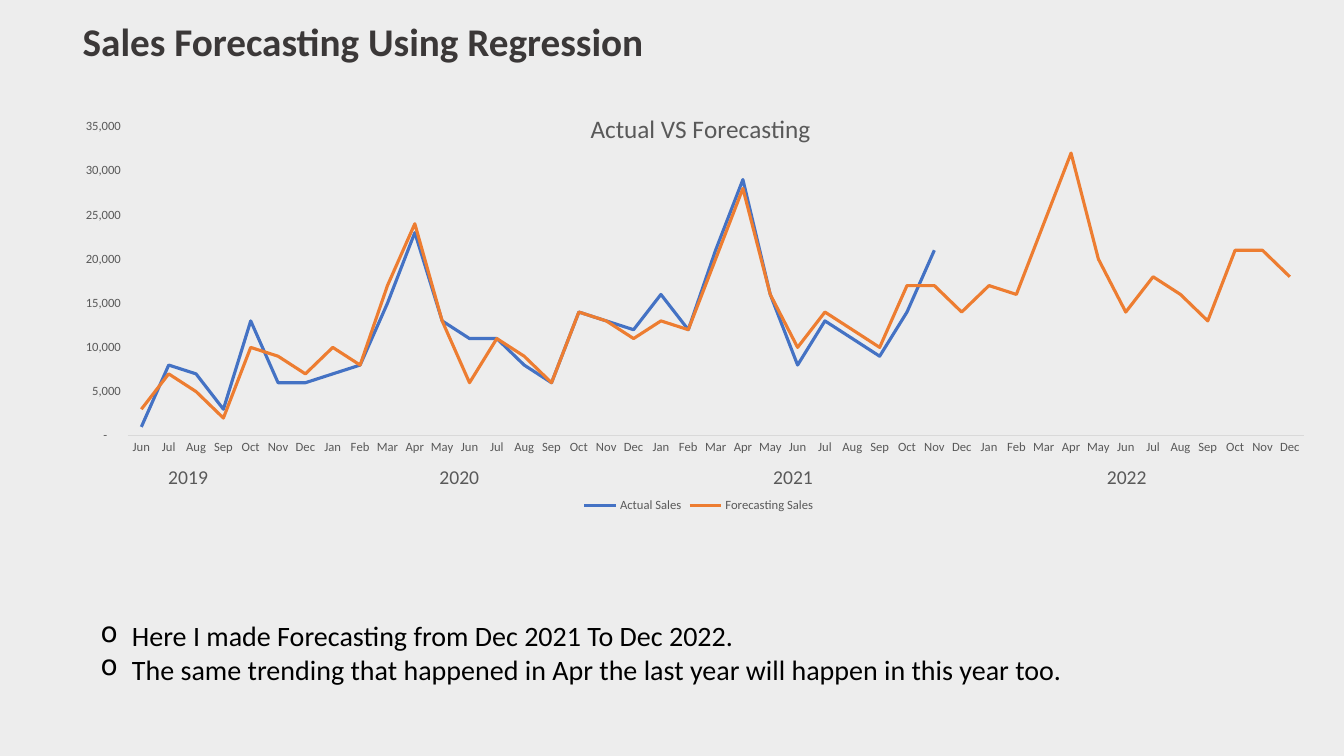
from dataclasses import dataclass
from lxml import etree
from pptx import Presentation, util as u
from pptx.chart import data
from pptx.dml import color
from pptx.enum import chart as ch, text as tx
from pptx.oxml import ns


@dataclass(frozen=True)
class Theme:
    font: str = "Calibri"
    back: str = "EDEDED"
    head: str = "3B3838"
    ink: str = "000000"
    gray: str = "595959"
    rule: str = "D9D9D9"
    blue: str = "4472C4"
    orange: str = "ED7D31"
    big: int = 28
    body: int = 20
    title: int = 18
    year: int = 14
    small: int = 9


LOOK = Theme()
MONTHS = "Jan Feb Mar Apr May Jun Jul Aug Sep Oct Nov Dec".split()
START, COUNT = 5, 43
ACTUAL = [1, 8, 7, 3, 13, 6, 6, 7, 8, 15, 23, 13, 11, 11, 8,
          6, 14, 13, 12, 16, 12, 21, 29, 16, 8, 13, 11, 9, 14, 21]
FORECAST = [3, 7, 5, 2, 10, 9, 7, 10, 8, 17, 24, 13, 6, 11, 9,
            6, 14, 13, 11, 13, 12, 20, 28, 16, 10, 14, 12, 10, 17, 17,
            14, 17, 16, 24, 32, 20, 14, 18, 16, 13, 21, 21, 18]
SERIES = [("Actual Sales", ACTUAL, LOOK.blue),
          ("Forecasting Sales", FORECAST, LOOK.orange)]
YEARS = {"2019": 0.85, "2020": 3.54, "2021": 6.85, "2022": 10.16}
POINTS = ["Here I made Forecasting from Dec 2021 To Dec 2022.",
          "The same trending that happened in Apr the last year will happen in this year too."]


def rgb(code):
    return color.RGBColor.from_string(code)


def style(font, size, code, bold=False):
    font.name, font.size, font.bold = LOOK.font, u.Pt(size), bold
    font.color.rgb = rgb(code)


def write(frame, lines, size, code, bold=False, bullet=None, wrap=True):
    frame.word_wrap = wrap
    frame.auto_size = tx.MSO_AUTO_SIZE.NONE
    for i, line in enumerate(lines):
        para = frame.add_paragraph() if i else frame.paragraphs[0]
        para.alignment = tx.PP_ALIGN.LEFT
        run = para.add_run()
        run.text = line
        style(run.font, size, code, bold)
        if bullet:
            props = para._p.get_or_add_pPr()
            props.set("marL", str(u.Inches(0.31)))
            props.set("indent", str(-u.Inches(0.31)))
            etree.SubElement(props, ns.qn("a:buChar")).set("char", bullet)


def place(node, index, **spots):
    for old in node.findall(ns.qn("c:layout")):
        node.remove(old)
    layout = etree.Element(ns.qn("c:layout"))
    manual = etree.SubElement(layout, ns.qn("c:manualLayout"))
    for name, value in spots.items():
        etree.SubElement(manual, ns.qn("c:" + name)).set("val", str(value))
    node.insert(index, layout)


def add_title(slide, box):
    title = slide.shapes.title
    title.left, title.top, title.width, title.height = map(u.Inches, box)
    title.text_frame.vertical_anchor = tx.MSO_ANCHOR.MIDDLE
    write(title.text_frame, ["Sales Forecasting Using Regression"],
          LOOK.big, LOOK.head, bold=True)


def add_sales(slide, box):
    source = data.CategoryChartData(number_format="#,##0")
    source.categories = [MONTHS[(START + i) % 12] for i in range(COUNT)]
    for name, values, _ in SERIES:
        gap = [None] * (COUNT - len(values))
        source.add_series(name, [v * 1000 for v in values] + gap)
    chart = slide.shapes.add_chart(
        ch.XL_CHART_TYPE.LINE, *map(u.Inches, box), source).chart
    style(chart.font, 10, LOOK.ink)
    for line, (_, _, code) in zip(chart.plots[0].series, SERIES):
        line.smooth = False
        line.marker.style = ch.XL_MARKER_STYLE.NONE
        line.format.line.color.rgb = rgb(code)
        line.format.line.width = u.Pt(2.25)
    chart.plots[0].vary_by_categories = False

    months, sales = chart.category_axis, chart.value_axis
    for axis in (months, sales):
        axis.has_major_gridlines = False
        axis.major_tick_mark = axis.minor_tick_mark = ch.XL_TICK_MARK.NONE
        style(axis.tick_labels.font, LOOK.small, LOOK.gray)
    months.format.line.color.rgb = rgb(LOOK.rule)
    months.format.line.width = u.Pt(0.75)
    sales.format.line.fill.background()
    sales.minimum_scale, sales.maximum_scale, sales.major_unit = 0, 35000, 5000
    sales.tick_labels.number_format = '_(* #,##0_);_(* \\(#,##0\\);_(* "-"??_);_(@_)'
    sales.tick_labels.number_format_is_linked = False

    chart.has_legend = True
    chart.legend.position = ch.XL_LEGEND_POSITION.BOTTOM
    chart.legend.include_in_layout = False
    style(chart.legend.font, LOOK.small, LOOK.gray)
    chart.has_title = True
    run = chart.chart_title.text_frame.paragraphs[0].add_run()
    run.text = "Actual VS Forecasting"
    style(run.font, LOOK.title, LOOK.gray)

    root = chart._chartSpace
    place(root.xpath("c:chart/c:title")[0], 1,
          xMode="edge", yMode="edge", x=0.41, y=0.05)
    place(root.xpath("c:chart/c:plotArea")[0], 0, layoutTarget="inner",
          xMode="edge", yMode="edge", x=0.044, y=0.097, w=0.939, h=0.715)


def add_years(slide, box):
    left, top, _, _ = box
    for year, shift in YEARS.items():
        spot = (left + shift, top + 3.72, 0.8, 0.34)
        label = slide.shapes.add_textbox(*map(u.Inches, spot))
        write(label.text_frame, [year], LOOK.year, LOOK.gray)


def add_notes(slide, box):
    notes = slide.shapes.add_textbox(*map(u.Inches, box))
    write(notes.text_frame, POINTS, LOOK.body, LOOK.ink, bullet="o")


def main():
    deck = Presentation()
    deck.slide_width, deck.slide_height = u.Inches(13.33), u.Inches(7.5)
    slide = deck.slides.add_slide(deck.slide_layouts.get_by_name("Title Only"))
    slide.background.fill.solid()
    slide.background.fill.fore_color.rgb = rgb(LOOK.back)
    panel = (0.72, 0.84, 12.42, 4.29)
    add_title(slide, (0.72, 0.12, 6.21, 0.57))
    add_notes(slide, (0.9, 6.09, 11.15, 0.77))
    add_sales(slide, panel)
    add_years(slide, panel)
    deck.save("out.pptx")


if __name__ == "__main__":
    main()
